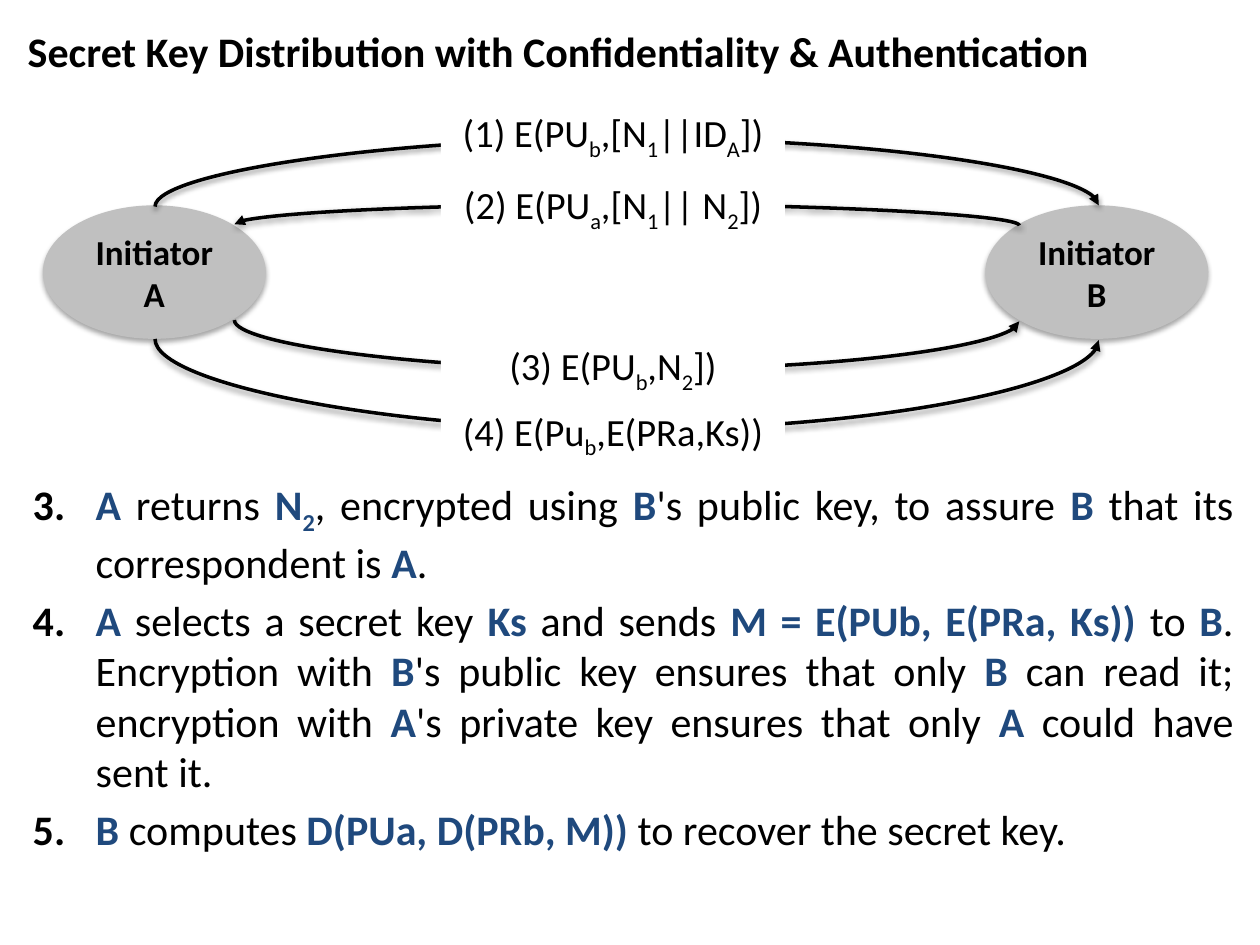
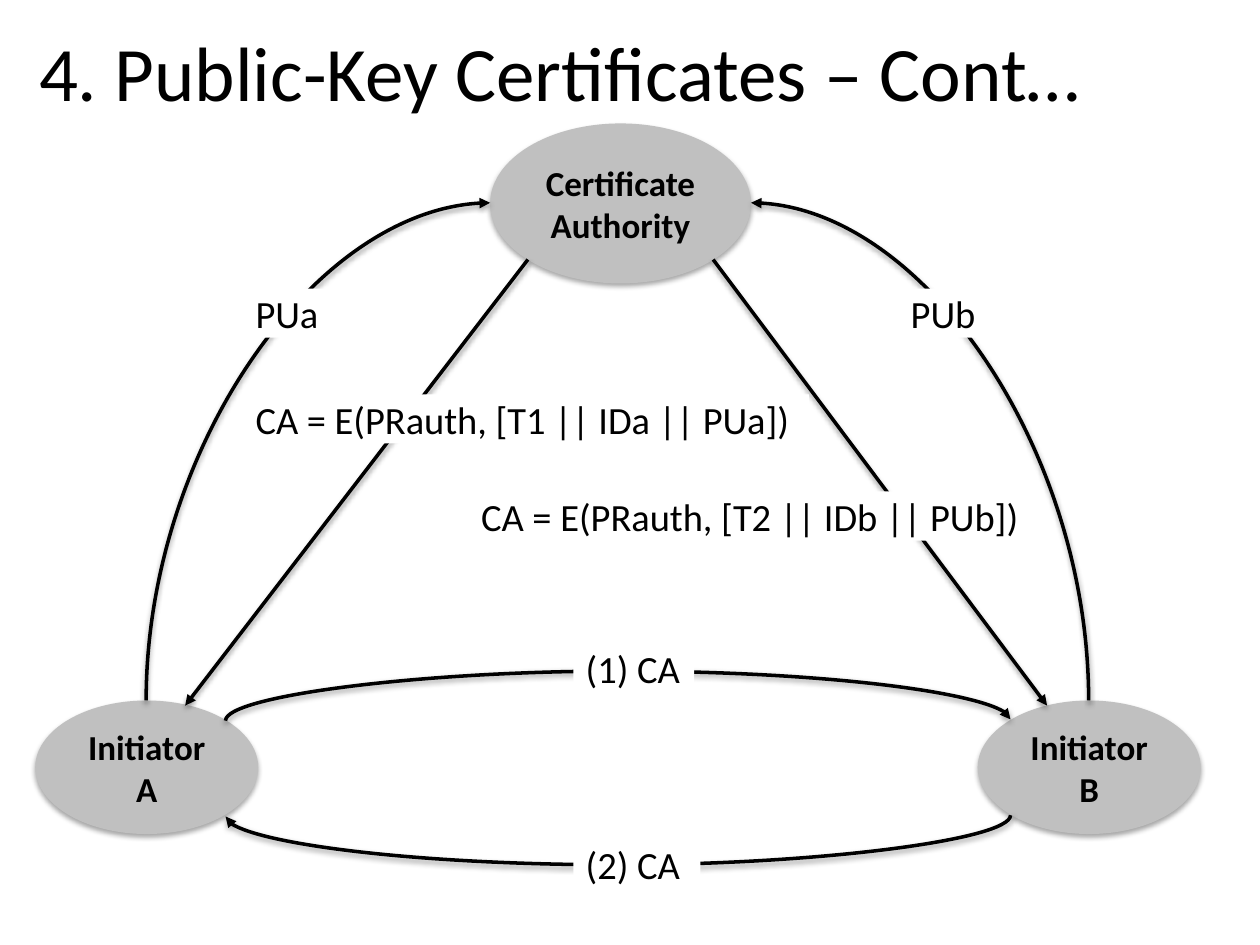
from dataclasses import dataclass
from typing import Optional

from lxml import etree
from pptx import Presentation
from pptx import util as u
from pptx.dml.color import RGBColor
from pptx.enum import shapes, text
from pptx.oxml.ns import qn


@dataclass(frozen=True)
class Theme:
    font: str = "Calibri"
    ink: str = "000000"
    accent: str = "1F497D"
    paper: str = "FFFFFF"
    node: str = "C0C0C0"
    heading: int = 24
    banner: int = 44
    body: int = 24
    node_size: int = 20
    label_size: int = 22
    line: float = 2


@dataclass(frozen=True)
class Area:
    left: float
    top: float
    width: float
    height: float


@dataclass(frozen=True)
class Node:
    lines: tuple[str, ...]
    area: Area


@dataclass(frozen=True)
class Arrow:
    start: tuple[float, float]
    end: tuple[float, float]
    bow: Optional[float] = None
    straight: bool = False


@dataclass(frozen=True)
class Label:
    words: str
    area: Area
    centred: bool = False


THEME = Theme()
COLUMNS, ROWS = 100, 75
SLIDE_WIDTH, SLIDE_HEIGHT = u.Inches(10), u.Inches(7.5)
NODE_WIDTH, NODE_HEIGHT = 17.7, 10.6
NODE_GAP = 74.8
MESSAGE_WIDTH, MESSAGE_HEIGHT, LABEL_HEIGHT = 27.3, 4.5, 3.9
LEFT, CENTRE, JUSTIFY = (
    text.PP_ALIGN.LEFT, text.PP_ALIGN.CENTER, text.PP_ALIGN.JUSTIFY)


def column(count: float) -> int:
    return round(SLIDE_WIDTH * count / COLUMNS)


def row(count: float) -> int:
    return round(SLIDE_HEIGHT * count / ROWS)


def place(area: Area) -> tuple[int, int, int, int]:
    return column(area.left), row(area.top), column(area.width), row(area.height)


def colour(code: str) -> RGBColor:
    return RGBColor.from_string(code)


def add_span(para, words: str, size: float, bold: bool, ink: str, lowered: bool) -> None:
    if not words:
        return
    span = para.add_run()
    span.text = words
    span.font.name = THEME.font
    span.font.size = u.Pt(size)
    span.font.bold = bold
    span.font.color.rgb = colour(ink)
    if lowered:
        span.font._element.set("baseline", "-25000")


def write(box, lines, *, size: float, bold: bool = False, align=LEFT,
          anchor=text.MSO_ANCHOR.MIDDLE, gap: float = 0,
          first_number: Optional[int] = None) -> None:
    """Text between asterisks is emphasised; a character after _ is a subscript."""
    frame = box.text_frame
    frame.word_wrap = True
    frame.auto_size = text.MSO_AUTO_SIZE.NONE
    frame.vertical_anchor = anchor
    for index, line in enumerate(lines):
        para = frame.add_paragraph() if index else frame.paragraphs[0]
        para.alignment = align
        para.space_before = u.Pt(gap if index else 0)
        if first_number is not None:
            number(para, first_number)
        for turn, part in enumerate(line.split("*")):
            strong = turn % 2 == 1
            ink = THEME.accent if strong else THEME.ink
            plain, *lowered = part.split("_")
            add_span(para, plain, size, bold or strong, ink, False)
            for piece in lowered:
                add_span(para, piece[0], size, bold or strong, ink, True)
                add_span(para, piece[1:], size, bold or strong, ink, False)


def number(para, first: int) -> None:
    properties = para._p.get_or_add_pPr()
    indent = column(5)
    properties.set("marL", str(indent))
    properties.set("indent", str(-indent))
    tint = etree.SubElement(properties, qn("a:buClr"))
    etree.SubElement(tint, qn("a:srgbClr"), val=THEME.ink)
    etree.SubElement(properties, qn("a:buFont"), typeface=THEME.font)
    etree.SubElement(properties, qn("a:buAutoNum"), type="arabicPeriod", startAt=str(first))


def add_shadow(shape, distance: float, opacity: int) -> None:
    effects = etree.SubElement(shape._element.spPr, qn("a:effectLst"))
    shadow = etree.SubElement(
        effects, qn("a:outerShdw"), blurRad=str(u.Pt(3.1)), dist=str(u.Pt(distance)),
        dir="5400000", rotWithShape="0")
    tint = etree.SubElement(shadow, qn("a:srgbClr"), val=THEME.ink)
    etree.SubElement(tint, qn("a:alpha"), val=str(opacity * 1000))


def add_title(page, words: str, area: Area, size: float, bold: bool = False) -> None:
    title = page.shapes.title
    title.left, title.top, title.width, title.height = place(area)
    write(title, [words], size=size, bold=bold)


def add_node(page, node: Node) -> None:
    oval = page.shapes.add_shape(shapes.MSO_SHAPE.OVAL, *place(node.area))
    oval.fill.solid()
    oval.fill.fore_color.rgb = colour(THEME.node)
    oval.line.fill.background()
    add_shadow(oval, 1.8, 35)
    write(oval, node.lines, size=THEME.node_size, bold=True, align=CENTRE)


def add_label(page, label: Label) -> None:
    box = page.shapes.add_textbox(*place(label.area))
    box.fill.solid()
    box.fill.fore_color.rgb = colour(THEME.paper)
    write(box, [label.words], size=THEME.label_size,
          align=CENTRE if label.centred else LEFT)


def add_curve(page, arrow: Arrow):
    x1, y1, x2, y2 = (column(arrow.start[0]), row(arrow.start[1]),
                      column(arrow.end[0]), row(arrow.end[1]))
    length, breadth = abs(y2 - y1), abs(x2 - x1)
    left = (x1 + x2 - length) // 2
    top = (y1 + y2 - breadth) // 2
    curve = page.shapes.add_connector(
        shapes.MSO_CONNECTOR.CURVE, left, top, left + length, top + breadth)
    rightward, upward = x2 > x1, y2 < y1
    frame = curve._element.spPr.find(qn("a:xfrm"))
    frame.set("rot", str((90 if rightward == upward else 270) * 60000))
    frame.set("flipH", str(int(rightward)))
    frame.set("flipV", str(int(upward)))
    outline = curve._element.spPr.find(qn("a:prstGeom"))
    if arrow.bow is None:
        outline.set("prst", "curvedConnector2")
    else:
        bend = round(row(arrow.bow) / length * 100000)
        etree.SubElement(outline.find(qn("a:avLst")), qn("a:gd"),
                         name="adj1", fmla=f"val {bend}")
    return curve


def add_arrow(page, arrow: Arrow) -> None:
    if arrow.straight:
        link = page.shapes.add_connector(
            shapes.MSO_CONNECTOR.STRAIGHT, column(arrow.start[0]), row(arrow.start[1]),
            column(arrow.end[0]), row(arrow.end[1]))
    else:
        link = add_curve(page, arrow)
    link.line.color.rgb = colour(THEME.ink)
    link.line.width = u.Pt(THEME.line)
    etree.SubElement(link.line._get_or_add_ln(), qn("a:tailEnd"), type="triangle")
    add_shadow(link, 1.6, 38)


def initiators(left: float, top: float) -> list[Node]:
    return [Node(("Initiator", name),
                 Area(left + step * NODE_GAP, top, NODE_WIDTH, NODE_HEIGHT))
            for step, name in enumerate("AB")]


def message(words: str, top: float) -> Label:
    return Label(words, Area(35, top, MESSAGE_WIDTH, MESSAGE_HEIGHT), centred=True)


def tag(words: str, left: float, top: float, width: float) -> Label:
    return Label(words, Area(left, top, width, LABEL_HEIGHT))


def add_diagram(page, nodes: list[Node], arrows: list[Arrow], labels: list[Label]) -> None:
    for node in nodes:
        add_node(page, node)
    for arrow in arrows:
        add_arrow(page, arrow)
    for label in labels:
        add_label(page, label)


def build_key_distribution(deck) -> None:
    page = deck.slides.add_slide(deck.slide_layouts[1])
    add_title(page, "Secret Key Distribution with Confidentiality & Authentication",
              Area(1.2, 1.2, 97.6, 5.6), THEME.heading, bold=True)
    body = page.placeholders[1]
    body.left, body.top, body.width, body.height = place(Area(1.6, 37.5, 97.3, 32.4))
    write(body, [
        "*A* returns *N_2*, encrypted using *B*'s public key, to assure *B* that its "
        "correspondent is *A*.",
        "*A* selects a secret key *Ks* and sends *M = E(PUb, E(PRa, Ks)) *to *B*. "
        "Encryption with *B*'s public key ensures that only *B* can read it; encryption "
        "with *A*'s private key ensures that only *A* could have sent it.",
        "*B* computes *D(PUa, D(PRb, M)) *to recover the secret key.",
    ], size=THEME.body, align=JUSTIFY, anchor=text.MSO_ANCHOR.TOP, gap=4.5, first_number=3)
    add_diagram(page, initiators(3.4, 16.3), [
        Arrow((12.3, 16.4), (87.2, 16.3), bow=5.5),
        Arrow((80.9, 17.9), (18.6, 17.8), bow=1.7),
        Arrow((18.6, 25.4), (80.9, 25.5), bow=4),
        Arrow((12.3, 26.9), (87.2, 27), bow=7.3),
    ], [
        message("(1) E(PU_b,[N_1||ID_A])", 8.5),
        message("(2) E(PU_a,[N_1|| N_2])", 14.2),
        message("(3) E(PU_b,N_2])", 27),
        message("(4) E(Pu_b,E(PRa,Ks))", 32.2),
    ])


def build_certificates(deck) -> None:
    page = deck.slides.add_slide(deck.slide_layouts[5])
    add_title(page, "4. Public-Key Certificates – Cont…",
              Area(2.1, 1.2, 95.8, 8.8), THEME.banner)
    authority = Node(("Certificate", "Authority"), Area(38.9, 9.8, 20.7, 12.7))
    add_diagram(page, [*initiators(2.8, 55.6), authority], [
        Arrow((80.2, 64.7), (17.9, 64.8), bow=4),
        Arrow((17.9, 57.2), (80.2, 57.1), bow=4),
        Arrow((11.6, 55.6), (38.9, 16.1)),
        Arrow((86.4, 55.6), (59.6, 16.1)),
        Arrow((41.9, 20.6), (14.7, 56), straight=True),
        Arrow((56.6, 20.6), (83.1, 56), straight=True),
    ], [
        tag("(2) CA", 45.5, 66.6, 10.1),
        tag("(1) CA", 45.5, 51.1, 9.6),
        tag("PUa", 19.3, 22.9, 7.4),
        tag("PUb", 71.3, 22.9, 7.4),
        tag("CA = E(PRauth, [T1 || IDa || PUa])", 19.3, 31.3, 44.9),
        tag("CA = E(PRauth, [T2 || IDb || PUb])", 37.2, 39, 44.9),
    ])


def main() -> None:
    deck = Presentation()
    deck.slide_width, deck.slide_height = SLIDE_WIDTH, SLIDE_HEIGHT
    build_key_distribution(deck)
    build_certificates(deck)
    deck.save("out.pptx")


if __name__ == "__main__":
    main()
